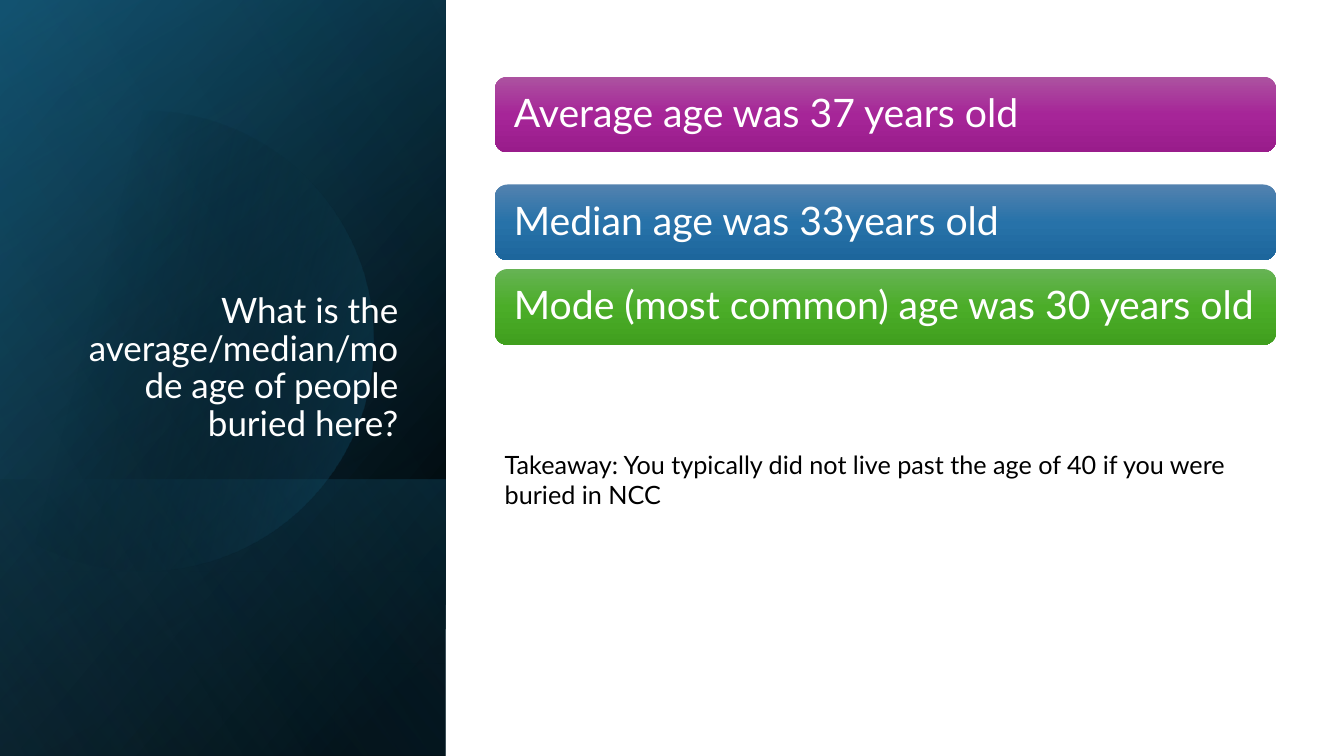
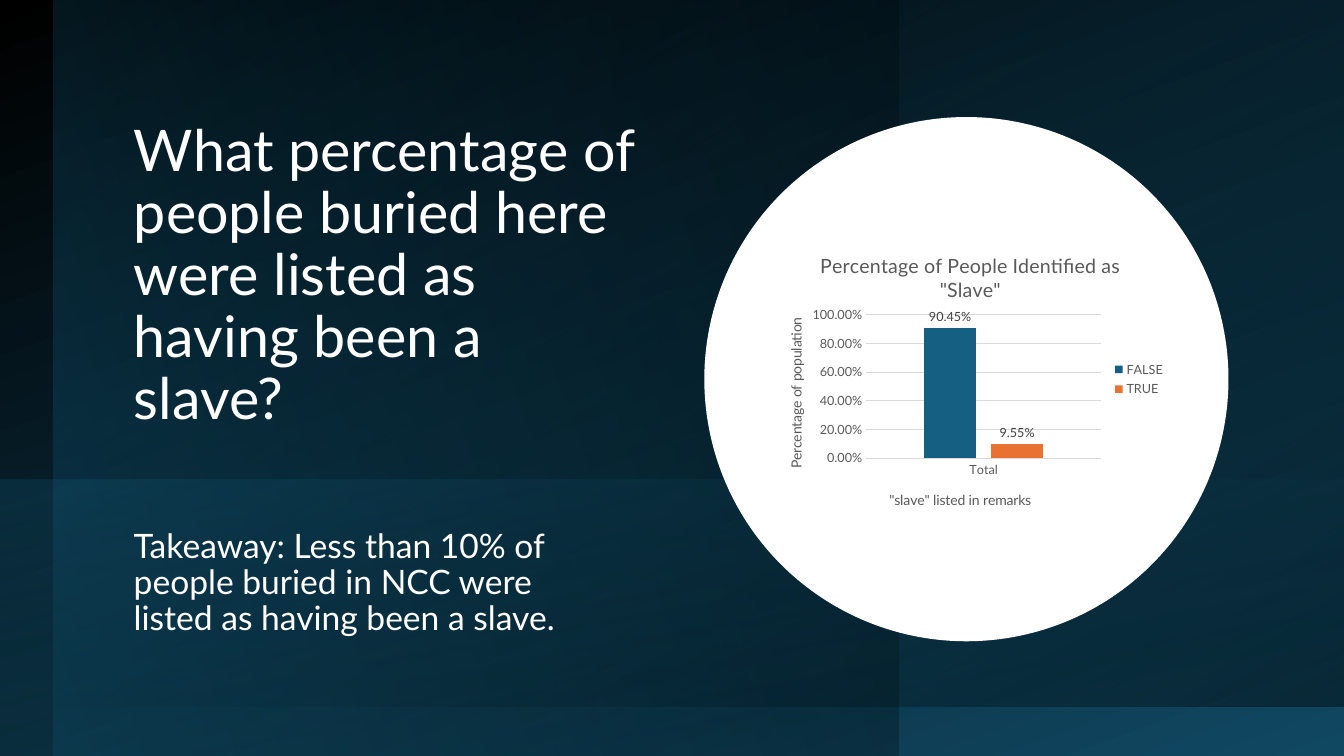
import math
import pptx
import pptx.chart.data
import pptx.dml.color
import pptx.enum.chart
import pptx.enum.shapes
import pptx.enum.text
import pptx.oxml.ns
import pptx.util
from lxml import etree

Cm = pptx.util.Cm
Pt = pptx.util.Pt
RGBColor = pptx.dml.color.RGBColor
qn = pptx.oxml.ns.qn
Kind = pptx.enum.shapes.MSO_SHAPE
Anchor = pptx.enum.text.MSO_ANCHOR
Align = pptx.enum.text.PP_ALIGN

BLACK = RGBColor(0x00, 0x00, 0x00)
WHITE = RGBColor(0xFF, 0xFF, 0xFF)
NAVY = RGBColor(0x10, 0x48, 0x62)
TEAL = RGBColor(0x15, 0x60, 0x82)
DEEP = RGBColor(0x0B, 0x30, 0x41)
SKY = RGBColor(0x46, 0xB1, 0xE1)
ORANGE = RGBColor(0xE9, 0x71, 0x32)
GREY = RGBColor(0x59, 0x59, 0x59)
DARK = RGBColor(0x40, 0x40, 0x40)
PALE = RGBColor(0xD9, 0xD9, 0xD9)
PURPLES = RGBColor(0xAC, 0x53, 0xA0), RGBColor(0xA6, 0x25, 0x98), RGBColor(0x99, 0x1C, 0x8B)
BLUES = RGBColor(0x53, 0x82, 0xAF), RGBColor(0x27, 0x72, 0xA9), RGBColor(0x1D, 0x66, 0x9C)
GREENS = RGBColor(0x66, 0xB3, 0x54), RGBColor(0x4B, 0xAD, 0x28), RGBColor(0x40, 0x9F, 0x1E)

WIDE, HIGH = 33.87, 19.05
SIDE = 11.23
BAND_TOP, BAND = 12.09, 6.96
FONT = "Lato"


def style(font, size, color):
    font.name = FONT
    font.size = Pt(size)
    font.bold = False
    font.color.rgb = color


def blend(shape, angle, stops):
    shape.shadow.inherit = False
    shape.line.fill.background()
    shape.fill.gradient()
    shape.fill.gradient_angle = (360 - angle) % 360
    items = shape._element.spPr.find(".//" + qn("a:gsLst"))
    for item in list(items):
        items.remove(item)
    for at, color, alpha in stops:
        stop = etree.SubElement(items, qn("a:gs"), pos=str(at * 1000))
        tone = etree.SubElement(stop, qn("a:srgbClr"), val=str(color))
        etree.SubElement(tone, qn("a:alpha"), val=str(alpha * 1000))


def place(node, **sides):
    layout = node.find(qn("c:layout"))
    if layout is None:
        layout = etree.Element(qn("c:layout"))
        node.insert(0, layout)
    manual = etree.SubElement(layout, qn("c:manualLayout"))
    if "w" in sides:
        etree.SubElement(manual, qn("c:layoutTarget"), val="inner")
    for side in "xy":
        etree.SubElement(manual, qn(f"c:{side}Mode"), val="edge")
    for side, value in sides.items():
        etree.SubElement(manual, qn(f"c:{side}"), val=str(value))


class Deck:
    def __init__(self):
        self.file = pptx.Presentation()
        self.file.slide_width = Cm(WIDE)
        self.file.slide_height = Cm(HIGH)

    def page(self):
        self.slide = self.file.slides.add_slide(self.file.slide_layouts[5])
        self.shapes = self.slide.shapes

    def put(self, shape, text, size, color, align=Align.LEFT, space=0.9):
        frame = shape.text_frame
        frame.text = text
        frame.word_wrap = True
        frame.auto_size = pptx.enum.text.MSO_AUTO_SIZE.NONE
        para = frame.paragraphs[0]
        para.alignment = align
        para.line_spacing = space
        style(para.runs[0].font, size, color)
        return frame

    def title(self, box, text, size, align=Align.LEFT):
        head = self.shapes.title
        head.left, head.top, head.width, head.height = map(Cm, box)
        frame = self.put(head, text, size, WHITE, align)
        frame.vertical_anchor = Anchor.BOTTOM
        head._element.getparent().append(head._element)

    def text(self, box, text, size, color, space=1.0):
        self.put(self.shapes.add_textbox(*map(Cm, box)), text, size, color, space=space)

    def panel(self, box, turn, angle, stops, flip=True):
        x, y, w, h = box
        if turn % 180:
            x, y, w, h = x + (w - h) / 2, y + (h - w) / 2, h, w
        shape = self.shapes.add_shape(Kind.RECTANGLE, Cm(x), Cm(y), Cm(w), Cm(h))
        shape.rotation = turn
        if flip:
            shape._element.spPr.get_or_add_xfrm().set("flipH", "1")
        blend(shape, angle, stops)

    def arc(self, x, y, radius, angle, stops):
        reach = math.acos(-x / radius)
        steps = 90
        turns = [reach * (2 * i / steps - 1) for i in range(steps + 1)]
        dots = [(Cm(x + radius * math.cos(t)), Cm(y + radius * math.sin(t))) for t in turns]
        pen = self.shapes.build_freeform(*dots[0])
        pen.add_line_segments(dots[1:], close=True)
        blend(pen.convert_to_shape(), angle, stops)

    def bar(self, y, text, tones):
        shape = self.shapes.add_shape(Kind.ROUNDED_RECTANGLE, Cm(12.47), Cm(y), Cm(19.69), Cm(1.91))
        blend(shape, 90, [(at, tone, 100) for at, tone in zip((0, 50, 100), tones)])
        frame = self.put(shape, text, 28, WHITE)
        frame.margin_left = frame.margin_right = Cm(0.39)
        frame.vertical_anchor = Anchor.MIDDLE

    def disc(self, x, y, size):
        shape = self.shapes.add_shape(Kind.OVAL, Cm(x), Cm(y), Cm(size), Cm(size))
        shape.shadow.inherit = False
        shape.fill.solid()
        shape.fill.fore_color.rgb = WHITE
        shape.line.fill.background()

    def label(self, owner, title, text, size, x, y):
        owner.has_title = True
        title.text_frame.text = text
        style(title.text_frame.paragraphs[0].runs[0].font, size, GREY)
        place(title._element, x=x, y=y)

    def chart(self, box, head, names, cats, series):
        enum = pptx.enum.chart
        data = pptx.chart.data.CategoryChartData(number_format="0.00%")
        data.categories = cats
        for name, values, color in series:
            data.add_series(name, values)
        chart = self.shapes.add_chart(enum.XL_CHART_TYPE.COLUMN_CLUSTERED, *map(Cm, box), data).chart
        style(chart.font, 10, BLACK)
        self.label(chart, chart.chart_title, head, 14, 0.13, 0.05)
        chart.has_legend = True
        chart.legend.position = enum.XL_LEGEND_POSITION.RIGHT
        chart.legend.include_in_layout = False
        style(chart.legend.font, 9, GREY)

        cat, val = chart.category_axis, chart.value_axis
        self.label(cat, cat.axis_title, names[0], 10, 0.3, 0.87)
        self.label(val, val.axis_title, names[1], 10, 0.05, 0.28)
        for axis in (cat, val):
            axis.major_tick_mark = axis.minor_tick_mark = enum.XL_TICK_MARK.NONE
            style(axis.tick_labels.font, 9, GREY)
        val.minimum_scale, val.maximum_scale, val.major_unit = 0, 1, 0.2
        val.tick_labels.number_format = "0.00%"
        val.tick_labels.number_format_is_linked = False
        val.format.line.fill.background()
        for line in (cat.format.line, val.major_gridlines.format.line):
            line.color.rgb = PALE
            line.width = Pt(0.75)

        plot = chart.plots[0]
        plot.vary_by_categories = False
        plot.gap_width, plot.overlap = 219, -27
        for item, (name, values, color) in zip(plot.series, series):
            item.format.fill.solid()
            item.format.fill.fore_color.rgb = color
            tags = item.data_labels
            tags.show_value = True
            tags.position = enum.XL_LABEL_POSITION.OUTSIDE_END
            tags.number_format = "0.00%"
            tags.number_format_is_linked = False
            style(tags.font, 9, DARK)
        area = chart._chartSpace.find(".//" + qn("c:plotArea"))
        place(area, x=0.25, y=0.28, w=0.57, h=0.49)


def ages(deck):
    deck.page()
    side = (0, 0, SIDE, HIGH)
    deck.panel(side, 90, 50, [(8, BLACK, 100), (100, NAVY, 100)])
    deck.panel(side, 90, 30, [(0, BLACK, 0), (99, TEAL, 46)])
    deck.panel((0, BAND_TOP, SIDE, BAND), 90, 130, [(2, TEAL, 29), (100, BLACK, 30)])
    deck.arc(3.63, 8.59, 5.79, 14, [(29, BLACK, 0), (100, TEAL, 43)])
    deck.panel(side, 90, 120, [(0, BLACK, 0), (99, SKY, 11)])
    deck.title((1.63, 4.67, 8.66, 6.65),
               "What is the average/median/mode age of people buried here?", 25, Align.RIGHT)
    for y, text, tones in (
        (1.93, "Average age was 37 years old", PURPLES),
        (4.65, "Median age was 33years old", BLUES),
        (6.78, "Mode (most common) age was 30 years old", GREENS),
    ):
        deck.bar(y, text, tones)
    deck.text((12.47, 11.2, 20.17, 1.8),
              "Takeaway: You typically did not live past the age of 40 if you were buried in NCC",
              18, BLACK)


def share(deck):
    deck.page()
    deck.panel((0, 0, WIDE, HIGH), 0, 110, [(0, BLACK, 100), (100, NAVY, 100)])
    deck.panel((1.35, 0, 21.29, HIGH), 0, 200, [(0, NAVY, 45), (100, BLACK, 29)])
    deck.panel((1.35, 0, 32.52, 17.81), 180, 300, [(0, TEAL, 0), (100, BLACK, 41)])
    deck.title((3.12, 2.39, 13.18, 8.61),
               "What percentage of people buried here were listed as having been a slave?", 41)
    deck.panel((0, BAND_TOP, WIDE, BAND), 270, 170, [(0, TEAL, 24), (78, DEEP, 0)], flip=False)
    deck.text((3.12, 13.21, 12.19, 3.45),
              "Takeaway: Less than 10% of people buried in NCC were listed as having been a slave.",
              24, WHITE, 0.9)
    deck.disc(17.75, 2.95, 13.21)
    deck.chart((19.23, 5.87, 10.39, 7.37),
               'Percentage of People Identified as "Slave"',
               ('"slave" listed in remarks', "Percentage of population"),
               ["Total"],
               [("FALSE", [0.9045], TEAL), ("TRUE", [0.0955], ORANGE)])


def main():
    deck = Deck()
    ages(deck)
    share(deck)
    deck.file.save("out.pptx")


if __name__ == "__main__":
    main()
